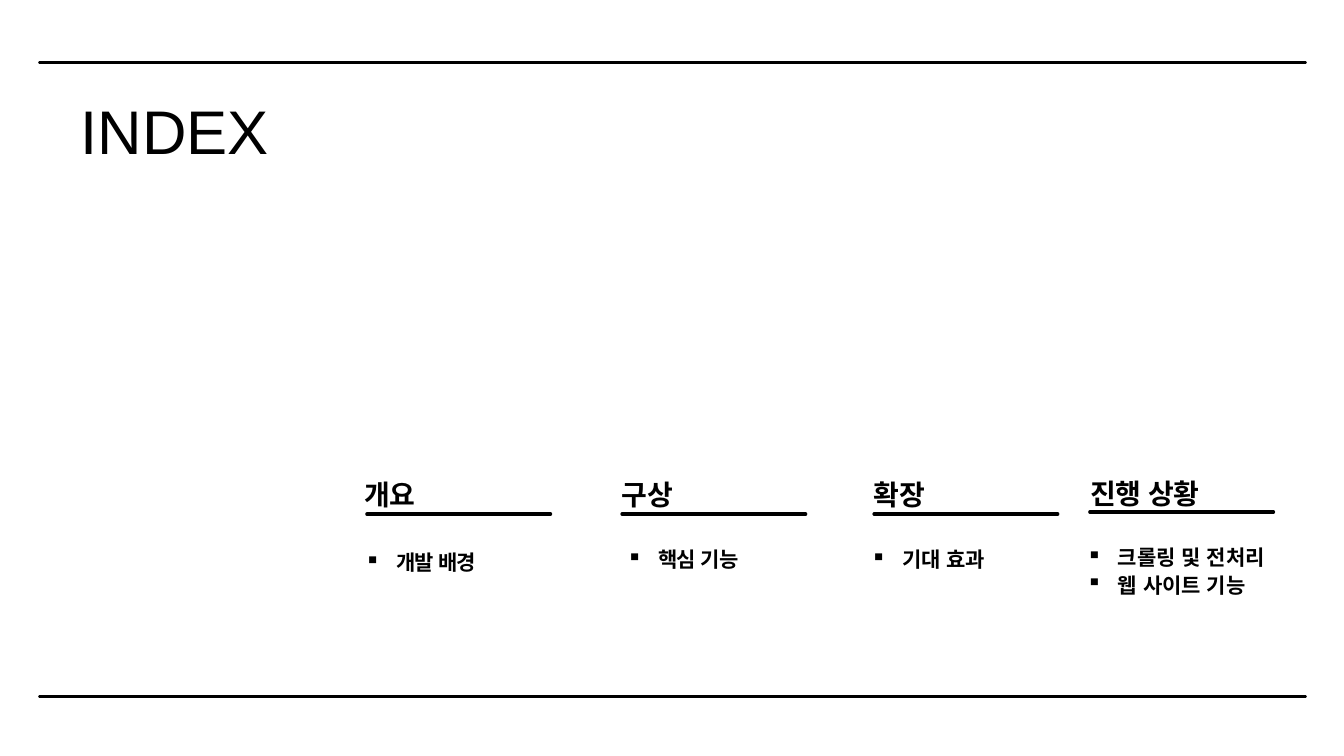
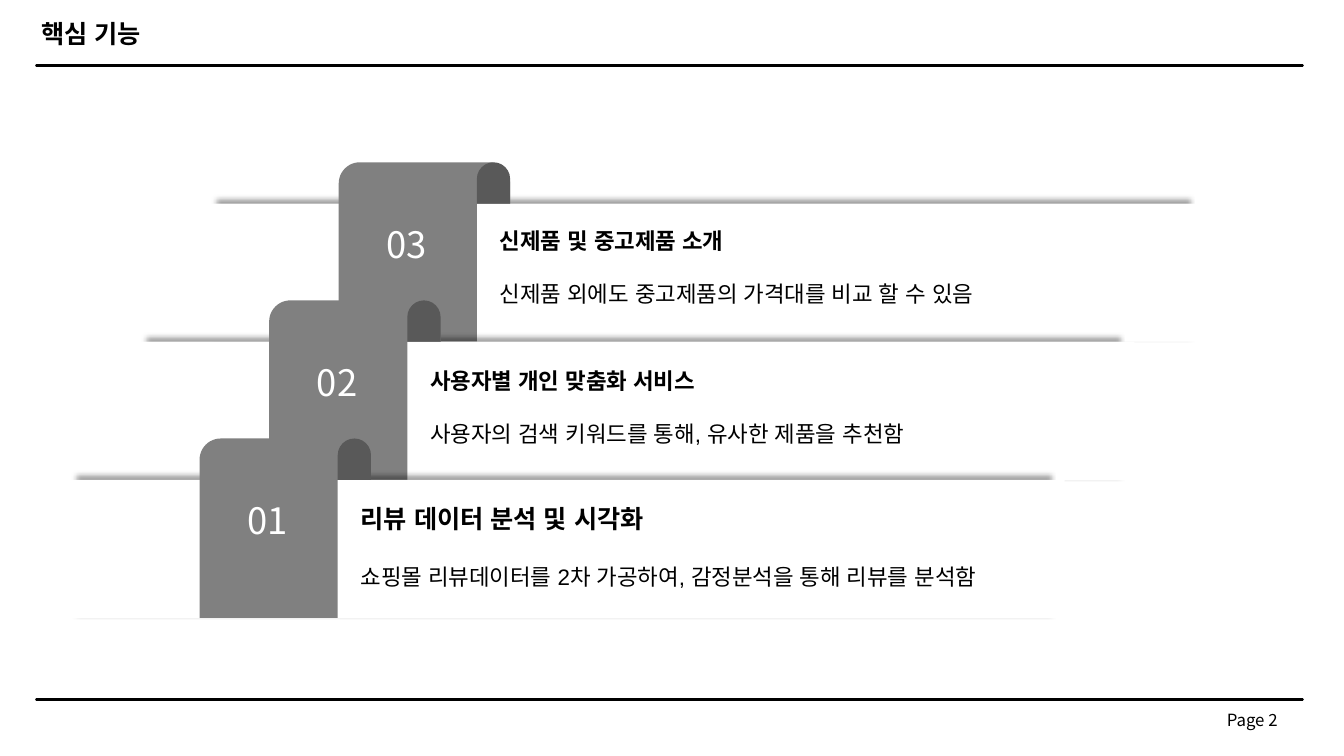
import math

from lxml import etree
from pptx import Presentation
from pptx.dml.color import RGBColor
from pptx.enum.shapes import MSO_CONNECTOR, MSO_SHAPE
from pptx.enum.text import MSO_ANCHOR, PP_ALIGN
from pptx.oxml.ns import qn
from pptx.util import Inches, Pt

BLACK = RGBColor(0x00, 0x00, 0x00)
WHITE = RGBColor(0xFF, 0xFF, 0xFF)
RIBBON_GREY = RGBColor(0x80, 0x80, 0x80)
FOLD_GREY = RGBColor(0x59, 0x59, 0x59)
BODY_FONT = "Arial"
NUMBER_FONT = "Noto Sans CJK KR"
STRAIGHT = MSO_CONNECTOR.STRAIGHT
RECTANGLE = MSO_SHAPE.RECTANGLE
ROUND_TOP = MSO_SHAPE.ROUND_2_SAME_RECTANGLE
LEFT, CENTER = PP_ALIGN.LEFT, PP_ALIGN.CENTER
TOP, MIDDLE = MSO_ANCHOR.TOP, MSO_ANCHOR.MIDDLE


class Deck:
    """Holds the shared style and the slide being filled."""

    def __init__(self):
        self.prs = Presentation()
        self.prs.slide_width = Inches(13.33)
        self.prs.slide_height = Inches(7.5)
        self.slide = None

    def new_slide(self, frame_left, frame_top, frame_bottom):
        self.slide = self.prs.slides.add_slide(self.prs.slide_layouts[6])
        for y in (frame_top, frame_bottom):
            self.rule(frame_left, y, 12.56, 1.75)

    def rule(self, x, y, length, weight):
        line = self.slide.shapes.add_connector(
            STRAIGHT, Inches(x), Inches(y), Inches(x + length), Inches(y))
        line.line.color.rgb = BLACK
        line.line.width = Pt(weight)
        line.line._get_or_add_ln().set("cap", "rnd")
        etree.SubElement(line._element.spPr, qn("a:effectLst"))

    def text(self, x, y, w, h, paragraphs, size, bold=False, color=BLACK,
             font=BODY_FONT, align=LEFT, anchor=TOP, spacing=None,
             tracking=0, bullet=False, wrap=True):
        box = self.slide.shapes.add_textbox(
            Inches(x), Inches(y), Inches(w), Inches(h))
        frame = box.text_frame
        frame.word_wrap = wrap
        frame.vertical_anchor = anchor
        for i, words in enumerate(paragraphs):
            para = frame.paragraphs[0] if i == 0 else frame.add_paragraph()
            para.alignment = align
            if spacing:
                para.line_spacing = spacing
            if bullet:
                self.bullet(para)
            run = para.add_run()
            run.text = words
            self.style(para, size, bold, color, font)
            if tracking:
                run.font._element.set("spc", str(round(tracking * 100)))
        return frame

    def style(self, para, size, bold, color=BLACK, font=BODY_FONT):
        para.font.size = Pt(size)
        para.font.bold = bold
        para.font.color.rgb = color
        para.font.name = font
        for run in para.runs:
            props = run.font._element
            etree.SubElement(props, qn("a:ea")).set("typeface", font)

    def bullet(self, para):
        props = para._p.get_or_add_pPr()
        props.set("marL", str(Inches(0.31)))
        props.set("indent", str(Inches(-0.31)))
        etree.SubElement(props, qn("a:buChar")).set("char", "▪")

    def fill(self, shape, color):
        shape.shadow.inherit = False
        shape.fill.solid()
        shape.fill.fore_color.rgb = color
        shape.line.fill.background()

    def panel(self, x, y, w, h):
        panel = self.slide.shapes.add_shape(
            RECTANGLE, Inches(x), Inches(y), Inches(w), Inches(h))
        self.fill(panel, WHITE)
        effects = panel._element.spPr.find(qn("a:effectLst"))
        shadow = etree.SubElement(
            effects, qn("a:outerShdw"), blurRad=str(Pt(4)), dist=str(Pt(3)),
            dir="16200000", sx="97000", algn="ctr", rotWithShape="0")
        tint = etree.SubElement(shadow, qn("a:srgbClr"), val=str(BLACK))
        etree.SubElement(tint, qn("a:alpha"), val="40000")

    def ribbon(self, x, y, body_w, fold_w, fold_h, body_h):
        """Step with rounded top corners and a darker fold at its right."""
        radius = 0.21
        right = x + body_w + fold_w

        def corner(center_x, start):
            angles = [math.radians(start + 7.5 * i) for i in range(13)]
            return [(center_x + radius * math.cos(a),
                     y + radius + radius * math.sin(a)) for a in angles]

        outline = corner(x + radius, 180) + corner(right - radius, 270) + [
            (right, y + fold_h), (x + body_w, y + fold_h),
            (x + body_w, y + fold_h + body_h), (x, y + fold_h + body_h)]
        points = [(Inches(px), Inches(py)) for px, py in outline]
        builder = self.slide.shapes.build_freeform(*points[0])
        builder.add_line_segments(points[1:], close=True)
        self.fill(builder.convert_to_shape(), RIBBON_GREY)
        fold = self.slide.shapes.add_shape(
            ROUND_TOP, Inches(x + body_w), Inches(y),
            Inches(fold_w), Inches(fold_h))
        fold.adjustments[0] = 0.5
        self.fill(fold, FOLD_GREY)

    def feature(self, x, y, w, heading, detail, heading_size):
        frame = self.text(x, y, w, 0.95, [heading], heading_size, bold=True)
        para = frame.add_paragraph()
        para.text = detail
        para.space_before = Pt(heading_size * 1.2)
        self.style(para, 16, False)


def index_slide(deck):
    deck.new_slide(0.39, 0.62, 6.91)
    deck.text(0.7, 0.88, 11.5, 0.82, ["INDEX"], 44, anchor=MIDDLE)

    # Sections: heading, heading x, rule x, rule y, items, items x, y, tracking
    sections = [
        ("개요", 3.52, 3.64, 5.1, ["개발 배경"], 3.52, 5.38, -0.5),
        ("구상", 6.07, 6.17, 5.1, ["핵심 기능"], 6.12, 5.35, -0.5),
        ("확장", 8.57, 8.67, 5.1, ["기대 효과"], 8.54, 5.35, 0),
        ("진행 상황", 10.72, 10.81, 5.08, ["크롤링 및 전처리", "웹 사이트 기능"],
         10.68, 5.33, 0),
    ]
    for heading, x, rule_x, rule_y, items, items_x, items_y, spc in sections:
        deck.text(x, rule_y - 0.44, 1.9, 0.44, [heading], 20, bold=True,
                  spacing=1.1, tracking=-0.5)
        deck.rule(rule_x, rule_y, 1.82, 2.5)
        deck.text(items_x, items_y, 2.4, 0.36, items, 15, bold=True,
                  spacing=1.1, tracking=spc, bullet=True)


def features_slide(deck):
    deck.new_slide(0.36, 0.65, 6.94)
    deck.text(0.31, 0.09, 2.64, 0.49, ["핵심 기능"], 18, bold=True, anchor=MIDDLE)
    deck.text(11.81, 6.91, 1.22, 0.47, ["Page 2"], 12, font=NUMBER_FONT,
              align=CENTER, anchor=MIDDLE)

    # Staircase, from the top step down
    steps = [
        ("03", "신제품 및 중고제품 소개",
         "신제품 외에도 중고제품의 가격대를 비교 할 수 있음", 16, 2.2),
        ("02", "사용자별 개인 맞춤화 서비스",
         "사용자의 검색 키워드를 통해, 유사한 제품을 추천함", 16, 3.59),
        ("01", "리뷰 데이터 분석 및 시각화",
         "쇼핑몰 리뷰데이터를 2차 가공하여, 감정분석을 통해 리뷰를 분석함", 18, 4.94),
    ]
    step_w, step_h, fold_h = 0.69, 1.37, 0.41
    for i, (number, heading, detail, size, text_y) in enumerate(steps):
        shift, top = step_w * i, 2.02 + step_h * i
        deck.panel(1.99 - shift, top, 9.95, step_h)
        deck.ribbon(3.36 - shift, top - fold_h, step_h, 0.33, fold_h, step_h)
        deck.text(3.65 - shift, top + 0.13, 0.77, 0.54, [number], 26,
                  color=WHITE, font=NUMBER_FONT, align=CENTER)
        deck.feature(4.86 - shift, text_y, 7.06, heading, detail, size)


def main():
    deck = Deck()
    index_slide(deck)
    features_slide(deck)
    deck.prs.save("out.pptx")


if __name__ == "__main__":
    main()
